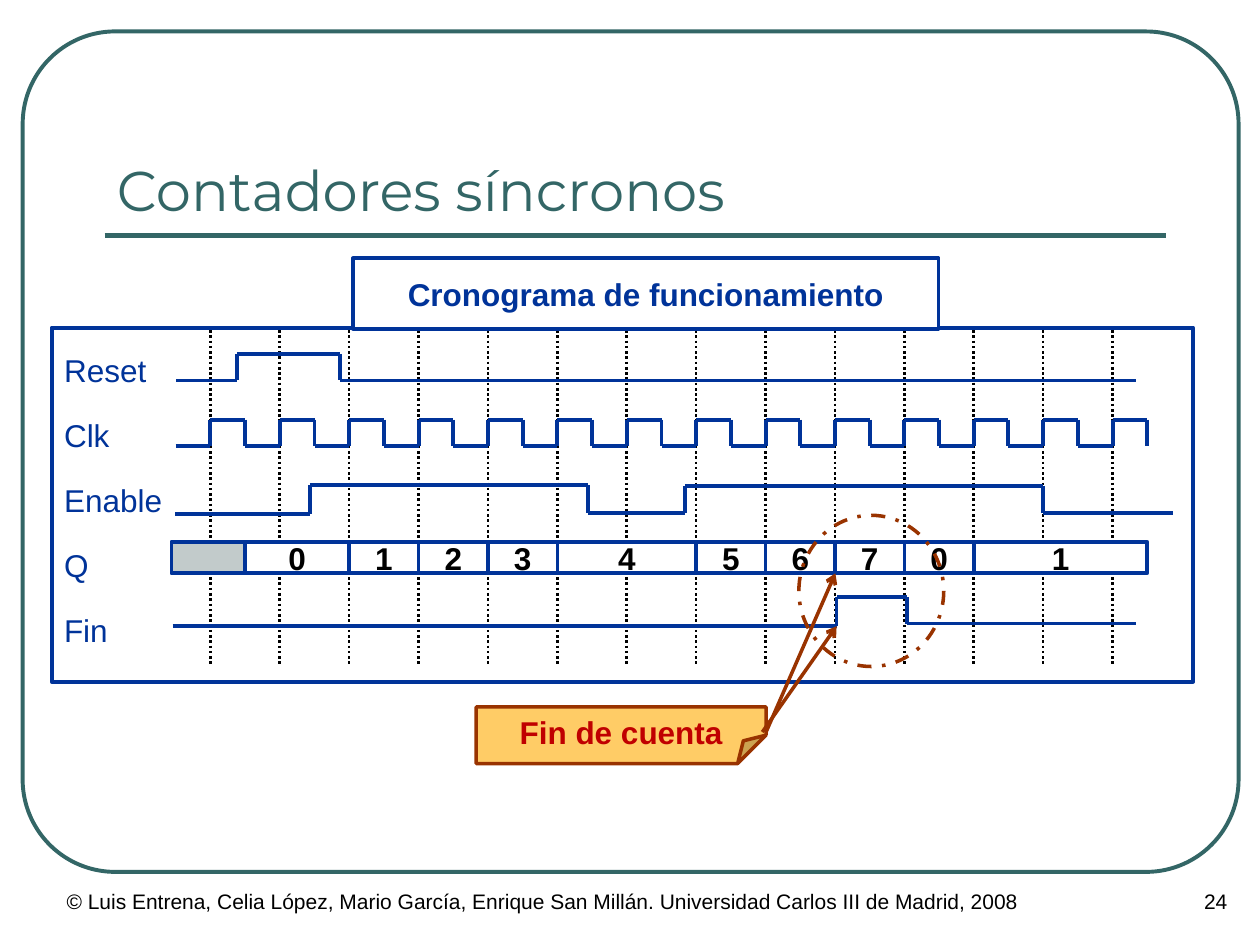
import dataclasses
import itertools
import typing

import pptx
import pptx.dml.color
import pptx.enum.dml
import pptx.enum.shapes
import pptx.enum.text
import pptx.oxml.ns
import pptx.util
from lxml import etree

Inches = pptx.util.Inches
Pt = pptx.util.Pt
qn = pptx.oxml.ns.qn
Dash = pptx.enum.dml.MSO_LINE
Preset = pptx.enum.shapes.MSO_SHAPE
Anchor = pptx.enum.text.MSO_ANCHOR
Align = pptx.enum.text.PP_ALIGN
Point = tuple[float, float]


@dataclasses.dataclass(frozen=True)
class Theme:
    frame: str = "336666"
    signal: str = "003399"
    ink: str = "000000"
    paper: str = "FFFFFF"
    unknown: str = "C2CBCB"
    note: str = "FFCC66"
    accent: str = "993300"
    alert: str = "C00000"
    body_font: str = "Arial"
    title_font: str = "Montserrat"
    title_size: float = 32
    body_size: float = 18
    footer_size: float = 12


THEME = Theme()


class Box(typing.NamedTuple):
    left: float
    top: float
    width: float
    height: float


class Stroke(typing.NamedTuple):
    color: str
    width: float
    dash: typing.Optional[Dash] = None


class Type(typing.NamedTuple):
    color: str
    size: float = THEME.body_size
    font: str = THEME.body_font
    bold: bool = False
    align: Align = Align.LEFT
    anchor: Anchor = Anchor.TOP
    wrap: bool = True
    spacing: typing.Optional[dict] = None


class Signal(typing.NamedTuple):
    points: list[Point]
    width: float = 2.25


def rgb(value: str) -> pptx.dml.color.RGBColor:
    return pptx.dml.color.RGBColor.from_string(value)


def apply(target, values: dict) -> None:
    for name, value in values.items():
        setattr(target, name, value)


def set_stroke(line, stroke: Stroke) -> None:
    line.color.rgb = rgb(stroke.color)
    line.width = Pt(stroke.width)
    if stroke.dash is not None:
        line.dash_style = stroke.dash


def write(shape, lines: list[str], style: Type) -> None:
    frame = shape.text_frame
    apply(frame, {"word_wrap": style.wrap, "vertical_anchor": style.anchor})
    for index, content in enumerate(lines):
        paragraph = frame.paragraphs[0] if index == 0 else frame.add_paragraph()
        run = paragraph.add_run()
        run.text = content
        apply(paragraph, {"alignment": style.align, **(style.spacing or {})})
        apply(run.font, {"name": style.font, "size": Pt(style.size), "bold": style.bold})
        run.font.color.rgb = rgb(style.color)


def add_text(slide, box: Box, lines: list[str], style: Type) -> None:
    write(slide.shapes.add_textbox(*map(Inches, box)), lines, style)


def add_outline(slide, preset: Preset, box: Box, stroke: Stroke,
                fill: typing.Optional[str] = None, adjust: typing.Optional[float] = None):
    shape = slide.shapes.add_shape(preset, *map(Inches, box))
    shape.shadow.inherit = False
    set_stroke(shape.line, stroke)
    if fill is None:
        shape.fill.background()
    else:
        shape.fill.solid()
        shape.fill.fore_color.rgb = rgb(fill)
    if adjust is not None:
        # The folded corner has no public adjustment, so the guide is set in XML
        guides = shape._element.spPr.find(qn("a:prstGeom")).find(qn("a:avLst"))
        for guide in list(guides):
            guides.remove(guide)
        etree.SubElement(guides, qn("a:gd"), name="adj", fmla=f"val {round(adjust * 100000)}")
    return shape


def add_line(slide, start: Point, end: Point, stroke: Stroke, arrow: bool = False) -> None:
    line = slide.shapes.add_connector(
        pptx.enum.shapes.MSO_CONNECTOR.STRAIGHT, *map(Inches, (*start, *end)))
    set_stroke(line.line, stroke)
    if arrow:
        etree.SubElement(line.line._get_or_add_ln(), qn("a:tailEnd"), type="arrow")
    etree.SubElement(line._element.spPr, qn("a:effectLst"))


def add_signal(slide, signal: Signal) -> None:
    for start, end in itertools.pairwise(signal.points):
        add_line(slide, start, end, Stroke(THEME.signal, signal.width))


# Clock grid: fourteen rising edges at equal steps
FIRST_EDGE, LAST_EDGE, EDGE_COUNT = 1.67, 8.83, 14
PERIOD = (LAST_EDGE - FIRST_EDGE) / (EDGE_COUNT - 1)
EDGES = [FIRST_EDGE + PERIOD * i for i in range(EDGE_COUNT)]
HALF = PERIOD / 2
CLK_LOW, CLK_HIGH = 3.54, 3.33

RESET = Signal([(1.4, 3.02), (1.88, 3.02), (1.88, 2.81), (2.7, 2.81), (2.7, 3.02), (9.02, 3.02)])
CLK = Signal([(EDGES[0] - HALF, CLK_LOW)] + [
    point for edge in EDGES for point in (
        (edge, CLK_LOW), (edge, CLK_HIGH), (edge + HALF, CLK_HIGH), (edge + HALF, CLK_LOW))])
ENABLE = Signal([(1.39, 4.08), (2.46, 4.08), (2.46, 3.85), (4.67, 3.85), (4.67, 4.07),
                 (5.44, 4.07), (5.44, 3.86), (8.28, 3.86), (8.28, 4.07), (9.31, 4.07)])
FIN = Signal([(1.37, 4.97), (6.64, 4.97), (6.64, 4.74), (7.2, 4.74), (7.2, 4.95), (9.02, 4.95)], 2)

# Counter values and the borders between them
Q_VALUES = ["", "0", "1", "2", "3", "4", "5", "6", "7", "0", "1"]
Q_BORDERS = [1.36, EDGES[0] + HALF, *EDGES[2:6], *EDGES[7:12], EDGES[-1] + HALF]


def main() -> None:
    deck = pptx.Presentation()
    apply(deck, {"slide_width": Inches(10), "slide_height": Inches(7.5)})
    slide = deck.slides.add_slide(deck.slide_layouts[6])
    thin = Stroke(THEME.signal, 2)
    centred = Type(THEME.ink, bold=True, align=Align.CENTER, anchor=Anchor.MIDDLE, wrap=False)

    # Slide frame, title and footer
    add_outline(slide, Preset.ROUNDED_RECTANGLE, Box(0.18, 0.25, 9.65, 6.67),
                Stroke(THEME.frame, 2.25), adjust=0.11)
    add_line(slide, (0.83, 1.87), (9.25, 1.87), Stroke(THEME.frame, 3))
    add_text(slide, Box(0.83, 1.26, 8.42, 0.56), ["Contadores síncronos"],
             Type(THEME.frame, THEME.title_size, THEME.title_font, anchor=Anchor.BOTTOM))
    footer = Type(THEME.ink, THEME.footer_size)
    add_text(slide, Box(0.43, 7, 8.5, 0.5),
             ["© Luis Entrena, Celia López, Mario García, Enrique San Millán. "
              "Universidad Carlos III de Madrid, 2008"], footer)
    add_text(slide, Box(8.94, 7, 0.9, 0.5), ["24"], footer._replace(align=Align.RIGHT))

    # Timing panel with clock edges and signal names
    add_outline(slide, Preset.RECTANGLE, Box(0.41, 2.6, 9.06, 2.81),
                Stroke(THEME.signal, 2.25), THEME.paper)
    for edge in EDGES:
        add_line(slide, (edge, 2.62), (edge, 5.28), Stroke(THEME.ink, 1.5, Dash.ROUND_DOT))
    add_text(slide, Box(0.41, 2.68, 0.98, 2.51), ["Reset", "Clk", "Enable", "Q", "Fin"],
             Type(THEME.signal, anchor=Anchor.MIDDLE, wrap=False,
                  spacing={"line_spacing": 1.2, "space_after": Pt(11.2)}))

    # Waveforms and counter values
    for signal in (RESET, CLK, ENABLE, FIN):
        add_signal(slide, signal)
    for value, (left, right) in zip(Q_VALUES, itertools.pairwise(Q_BORDERS)):
        cell = add_outline(slide, Preset.RECTANGLE, Box(left, 4.3, right - left, 0.25), thin,
                           THEME.paper if value else THEME.unknown)
        if value:
            write(cell, [value], centred)

    # Panel heading
    heading = add_outline(slide, Preset.RECTANGLE, Box(2.8, 2.05, 4.65, 0.56), thin, THEME.paper)
    write(heading, ["Cronograma de funcionamiento"], centred._replace(color=THEME.signal))

    # End-of-count callout
    accent = Stroke(THEME.accent, 2)
    callout = add_outline(slide, Preset.FOLDED_CORNER, Box(3.78, 5.61, 2.3, 0.45),
                          accent, THEME.note, 0.5)
    write(callout, ["Fin de cuenta"], centred._replace(color=THEME.alert, anchor=Anchor.TOP))
    add_outline(slide, Preset.OVAL, Box(6.34, 4.09, 1.15, 1.2),
                accent._replace(dash=Dash.DASH_DOT))
    for start, end in (((6.05, 5.81), (6.64, 4.97)), ((6.08, 5.81), (6.63, 4.55))):
        add_line(slide, start, end, accent, arrow=True)

    deck.save("out.pptx")


if __name__ == "__main__":
    main()
